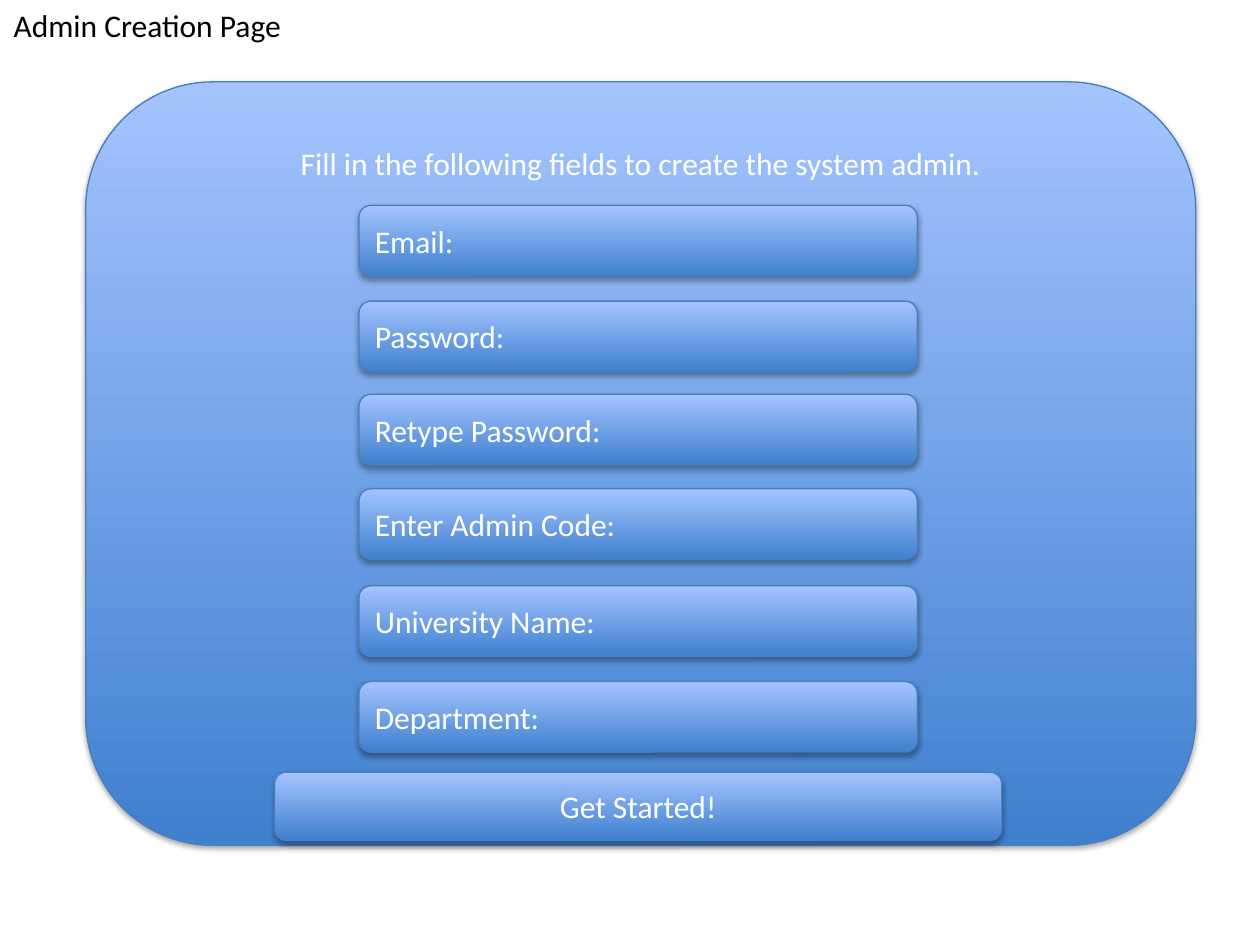
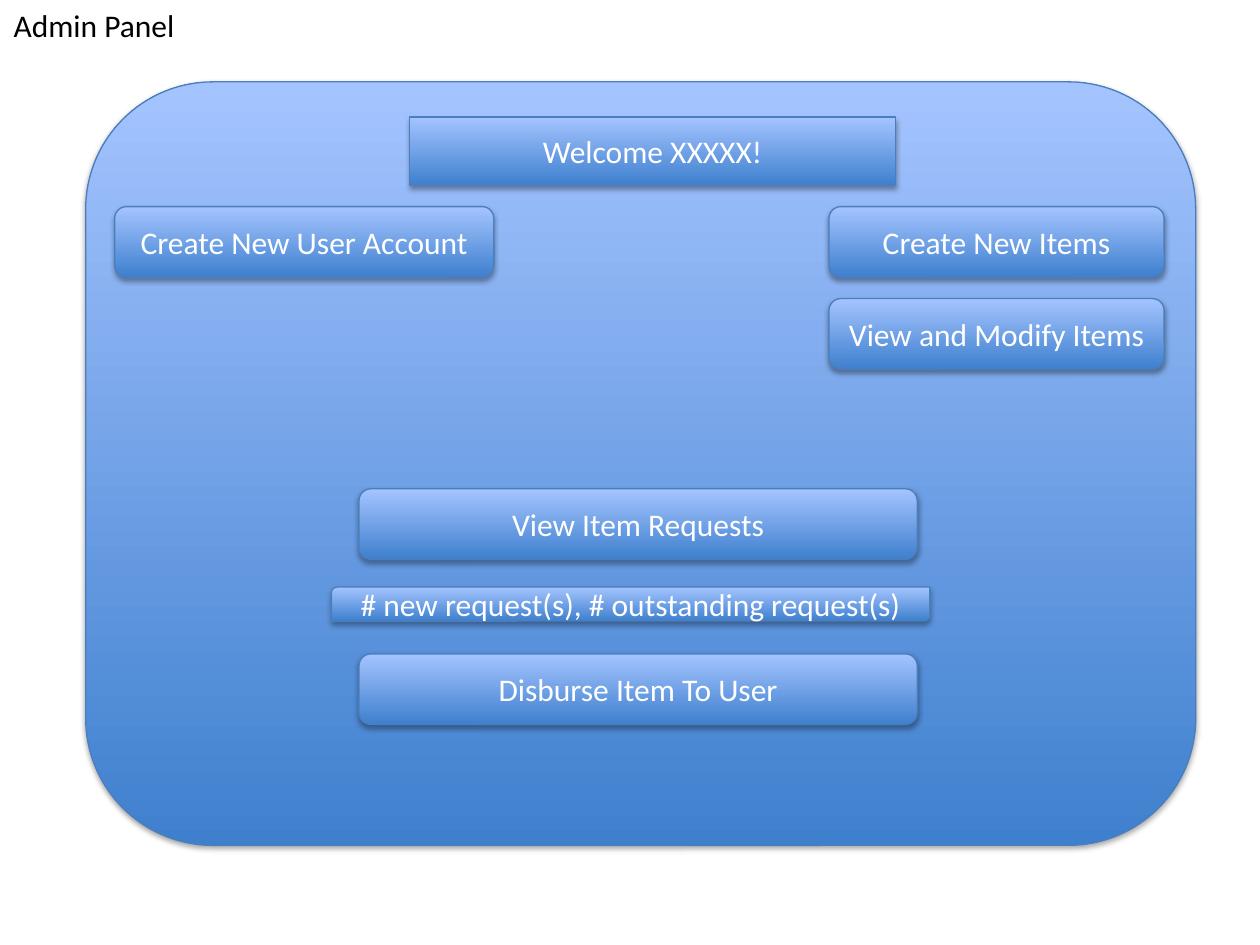
from dataclasses import dataclass

from lxml.etree import SubElement
from pptx import Presentation
from pptx.dml.color import RGBColor
from pptx.enum.shapes import MSO_SHAPE
from pptx.enum.text import MSO_ANCHOR, MSO_AUTO_SIZE, PP_ALIGN
from pptx.oxml.ns import qn
from pptx.util import Inches, Pt


@dataclass(frozen=True)
class Theme:
    font: str = "Calibri"
    size: float = 18
    title_color: str = "000000"
    label_color: str = "FFFFFF"
    gradient: tuple = ("3F80CE", "A4C4FF")
    gradient_angle: int = 90
    outline: str = "4B7EBC"
    outline_width: float = 0.75
    shadow_color: str = "000000"
    shadow_opacity: int = 35
    shadow_blur: float = 3.1
    shadow_distance: float = 1.8
    shadow_angle: int = 90


THEME = Theme()
ROUNDED = MSO_SHAPE.ROUNDED_RECTANGLE

PANEL = (0.68, 0.65, 8.81, 6.06)
PROMPT_INSET = 0.2
BUTTON_HEIGHT = 0.56
BANNER_HEIGHT = 0.54
CENTER_COLUMN = (2.85, 4.43)
LEFT_COLUMN = (0.91, 3.01)
RIGHT_COLUMN = (6.58, 2.66)

CREATION_TITLE = ("Admin Creation Page", 2.36)
CREATION_PROMPT = "Fill in the following fields to create the system admin."
CREATION_FIELDS = [
    ("Email:", 1.63),
    ("Password:", 2.39),
    ("Retype Password:", 3.13),
    ("Enter Admin Code:", 3.88),
    ("University Name:", 4.65),
    ("Department:", 5.41),
]
START_BUTTON = ("Get Started!", (2.18, 6.13, 5.77, BANNER_HEIGHT))

PANEL_TITLE = ("Admin Panel", 1.5)
WELCOME_BANNER = ("Welcome XXXXX!", (3.25, 0.93, 3.86, BANNER_HEIGHT))
REQUEST_COUNTS = ("# new request(s), # outstanding request(s)", (2.63, 4.66, 4.75, 0.27))
PANEL_BUTTONS = [
    ("Create New User Account", LEFT_COLUMN, 1.64),
    ("Create New Items", RIGHT_COLUMN, 1.64),
    ("View and Modify Items", RIGHT_COLUMN, 2.37),
    ("View Item Requests", CENTER_COLUMN, 3.88),
    ("Disburse Item To User", CENTER_COLUMN, 5.19),
]


def write(shape, text, color, align):
    para = shape.text_frame.paragraphs[0]
    para.text = text
    para.alignment = align
    para.font.name = THEME.font
    para.font.size = Pt(THEME.size)
    para.font.color.rgb = RGBColor.from_string(color)


def add_shadow(shape):
    shape.shadow.inherit = False
    effects = shape.element.spPr.find(qn("a:effectLst"))
    shadow = SubElement(
        effects,
        qn("a:outerShdw"),
        blurRad=str(Pt(THEME.shadow_blur)),
        dist=str(Pt(THEME.shadow_distance)),
        dir=str(THEME.shadow_angle * 60000),
        rotWithShape="0",
    )
    color = SubElement(shadow, qn("a:srgbClr"), val=THEME.shadow_color)
    SubElement(color, qn("a:alpha"), val=str(THEME.shadow_opacity * 1000))


def add_box(page, place, text="", kind=ROUNDED, align=PP_ALIGN.CENTER):
    box = page.shapes.add_shape(kind, *map(Inches, place))
    box.fill.gradient()
    box.fill.gradient_angle = THEME.gradient_angle
    for stop, color in zip(box.fill.gradient_stops, THEME.gradient):
        stop.color.rgb = RGBColor.from_string(color)
    box.line.color.rgb = RGBColor.from_string(THEME.outline)
    box.line.width = Pt(THEME.outline_width)
    add_shadow(box)
    if text:
        write(box, text, THEME.label_color, align)
    return box


def add_button(page, text, column, top, align=PP_ALIGN.CENTER):
    left, width = column
    add_box(page, (left, top, width, BUTTON_HEIGHT), text, align=align)


def add_page(deck, title, prompt=""):
    page = deck.slides.add_slide(deck.slide_layouts[6])
    panel = add_box(page, PANEL, prompt)
    panel.text_frame.vertical_anchor = MSO_ANCHOR.TOP
    panel.text_frame.margin_top = Inches(PROMPT_INSET)
    text, width = title
    heading = page.shapes.add_textbox(Inches(0.01), 0, Inches(width), Inches(0.4))
    heading.text_frame.word_wrap = False
    heading.text_frame.auto_size = MSO_AUTO_SIZE.SHAPE_TO_FIT_TEXT
    write(heading, text, THEME.title_color, PP_ALIGN.LEFT)
    return page


def build_creation_page(deck):
    page = add_page(deck, CREATION_TITLE, CREATION_PROMPT)
    for label, top in CREATION_FIELDS:
        add_button(page, label, CENTER_COLUMN, top, PP_ALIGN.LEFT)
    label, place = START_BUTTON
    add_box(page, place, label)


def build_admin_panel(deck):
    page = add_page(deck, PANEL_TITLE)
    for label, column, top in PANEL_BUTTONS:
        add_button(page, label, column, top)
    for (label, place), kind in (
        (REQUEST_COUNTS, MSO_SHAPE.ROUND_2_DIAG_RECTANGLE),
        (WELCOME_BANNER, MSO_SHAPE.RECTANGLE),
    ):
        add_box(page, place, label, kind)


def main():
    deck = Presentation()
    deck.slide_width = Inches(10)
    deck.slide_height = Inches(7.5)
    build_creation_page(deck)
    build_admin_panel(deck)
    deck.save("out.pptx")


if __name__ == "__main__":
    main()
